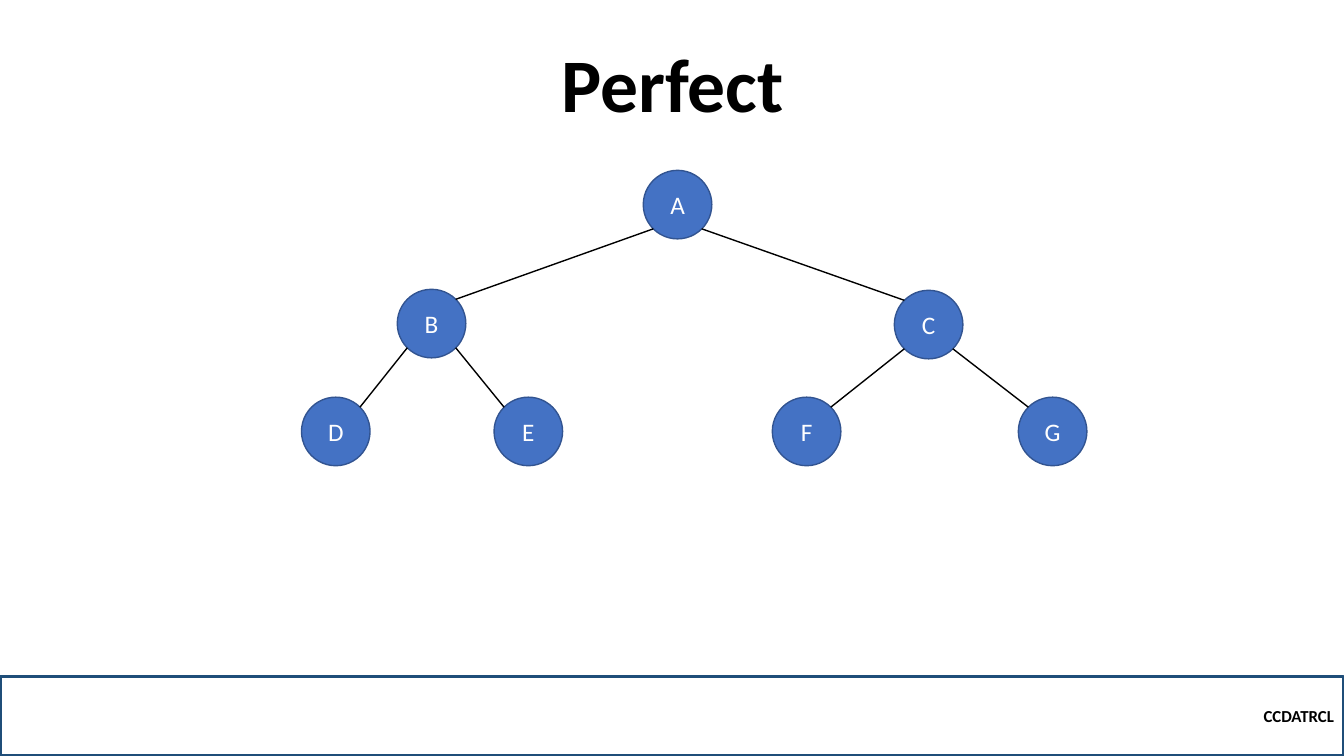
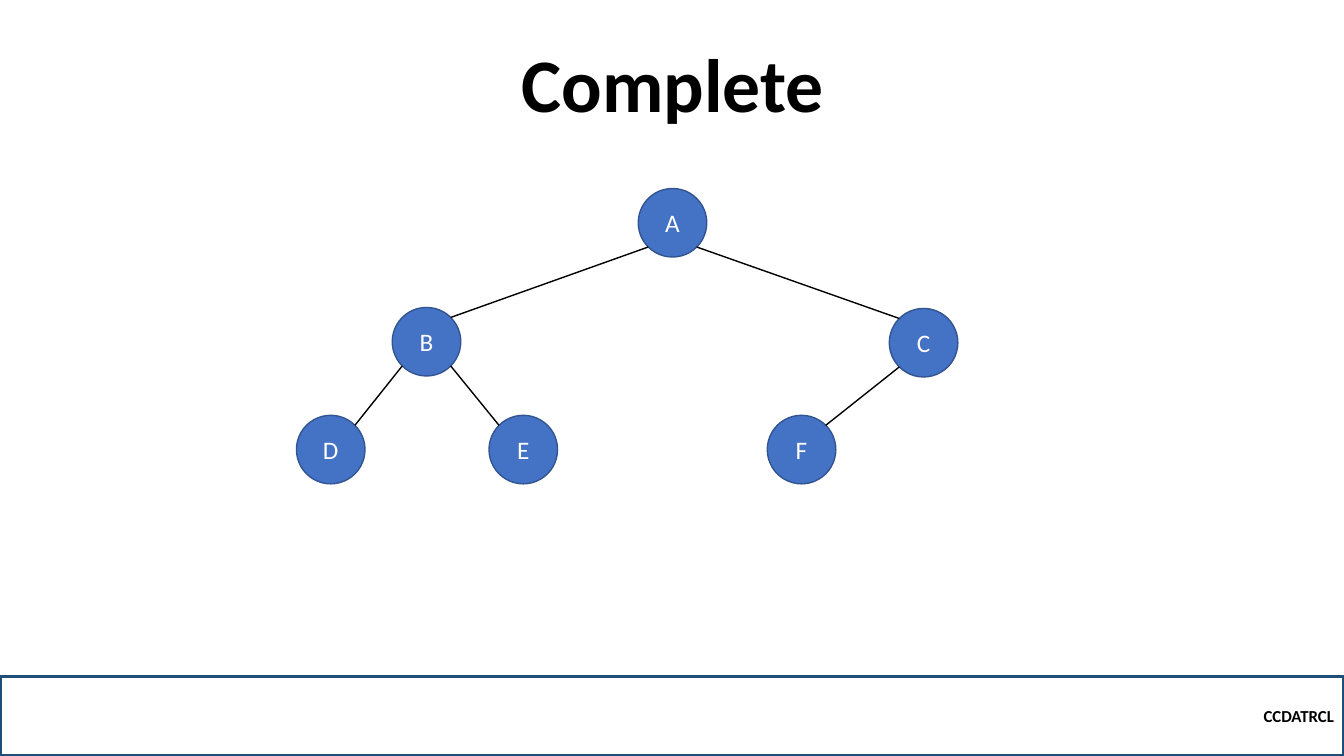
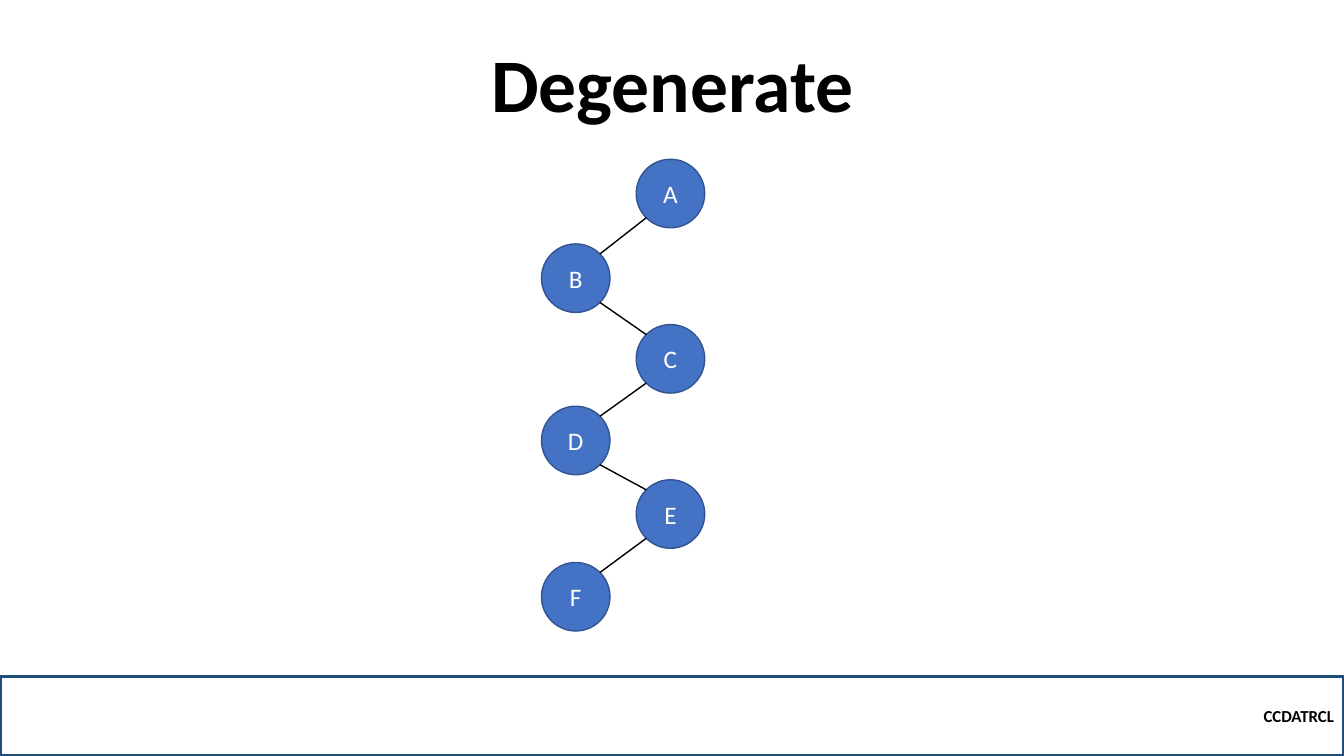
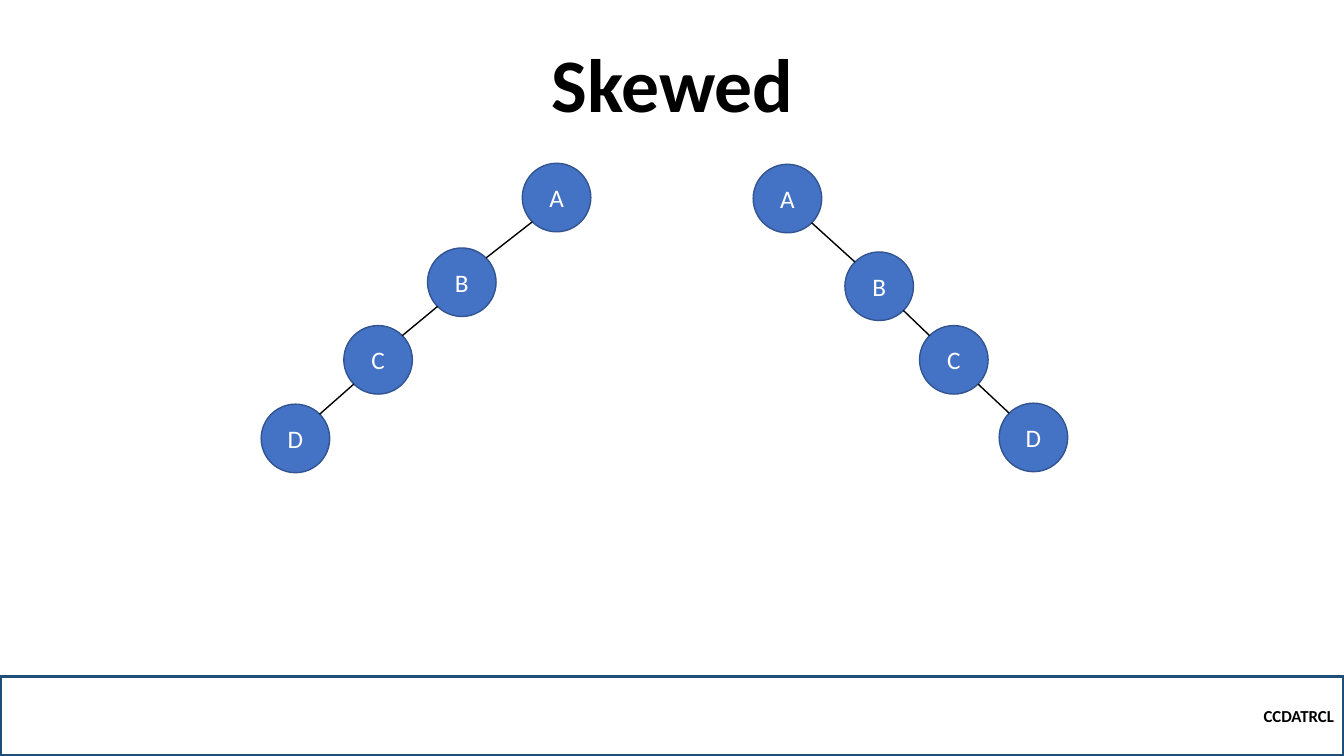
from itertools import pairwise
from math import sqrt

from lxml.etree import SubElement
from pptx import Presentation
from pptx.dml.color import RGBColor
from pptx.enum.shapes import MSO_CONNECTOR, MSO_SHAPE
from pptx.enum.text import MSO_ANCHOR, MSO_AUTO_SIZE, PP_ALIGN
from pptx.oxml.ns import qn
from pptx.util import Inches, Pt

BLACK = RGBColor(0x00, 0x00, 0x00)
WHITE = RGBColor(0xFF, 0xFF, 0xFF)
NODE_BLUE = RGBColor(0x44, 0x72, 0xC4)
NODE_EDGE = RGBColor(0x32, 0x54, 0x91)
BAND_EDGE = RGBColor(0x1F, 0x4E, 0x79)

FONT = "Calibri"
SLIDE_WIDTH, SLIDE_HEIGHT = 13.33, 7.5
TITLE_BOX = (1.67, 0.54, 10, 0.79)
BAND_BOX = (0, 6.71, SLIDE_WIDTH, 0.79)
COURSE_CODE = "CCDATRCL"
NODE_SIZE = 0.68
NODE_INSET = NODE_SIZE / 2 * (1 - 1 / sqrt(2))

BRANCHES = ["AB", "AC", "BD", "BE", "CF", "CG"]
BINARY_NODES = {
    "A": (3.39, 0),
    "B": (0.95, 1.18),
    "C": (5.88, 1.19),
    "D": (0, 2.25),
    "E": (1.91, 2.25),
    "F": (4.67, 2.25),
    "G": (7.11, 2.25),
}
COMPLETE_NODES = {label: BINARY_NODES[label] for label in "ABCDEF"}
ZIGZAG_DROPS = [0, 0.84, 1.64, 2.45, 3.18, 4]
ZIGZAG_NODES = {
    label: (0 if level % 2 else 0.94, drop)
    for level, (label, drop) in enumerate(zip("ABCDEF", ZIGZAG_DROPS))
}
LEFT_SKEW_NODES = {"A": (2.59, 0), "B": (1.65, 0.84), "C": (0.82, 1.61), "D": (0, 2.39)}
RIGHT_SKEW_NODES = {"A": (0, 0), "B": (0.91, 0.87), "C": (1.65, 1.6), "D": (2.44, 2.37)}


def write_text(shape, text, size, color=BLACK, bold=False, align=PP_ALIGN.CENTER,
               anchor=MSO_ANCHOR.MIDDLE, line_spacing=None):
    frame = shape.text_frame
    frame.word_wrap = True
    frame.auto_size = MSO_AUTO_SIZE.NONE
    frame.vertical_anchor = anchor
    paragraph = frame.paragraphs[0]
    paragraph.alignment = align
    paragraph.line_spacing = line_spacing
    run = paragraph.add_run()
    run.text = text
    run.font.name = FONT
    run.font.size = Pt(size)
    run.font.bold = bold
    run.font.color.rgb = color


def add_outlined(slide, preset, box, edge, edge_width, fill=None):
    shape = slide.shapes.add_shape(preset, *map(Inches, box))
    shape.shadow.inherit = False
    if fill is None:
        shape.fill.background()
    else:
        shape.fill.solid()
        shape.fill.fore_color.rgb = fill
    shape.line.color.rgb = edge
    shape.line.width = Pt(edge_width)
    return shape


def place_title(slide, text, box):
    title = slide.shapes.title
    title.left, title.top, title.width, title.height = map(Inches, box)
    write_text(title, text, size=54, bold=True, anchor=MSO_ANCHOR.BOTTOM, line_spacing=0.9)


def add_footer_band(slide, box):
    band = add_outlined(slide, MSO_SHAPE.RECTANGLE, box, BAND_EDGE, 2.25)
    write_text(band, COURSE_CODE, size=12, bold=True, align=PP_ALIGN.RIGHT)


def add_branch(slide, parent, child):
    near, far = NODE_INSET, NODE_SIZE - NODE_INSET
    start, end = (near, far) if child[0] < parent[0] else (far, near)
    ends = (parent[0] + start, parent[1] + far, child[0] + end, child[1] + near)
    branch = slide.shapes.add_connector(MSO_CONNECTOR.STRAIGHT, *map(Inches, ends))
    branch.line.color.rgb = BLACK
    branch.line.width = Pt(1)
    SubElement(branch._element.spPr, qn("a:effectLst"))


def add_tree(slide, left, top, nodes, branches):
    corners = {label: (left + x, top + y) for label, (x, y) in nodes.items()}
    for label, corner in corners.items():
        node = add_outlined(slide, MSO_SHAPE.OVAL, (*corner, NODE_SIZE, NODE_SIZE),
                            NODE_EDGE, 1, fill=NODE_BLUE)
        write_text(node, label, size=18, color=WHITE)
    for parent, child in branches:
        if child in corners:
            add_branch(slide, corners[parent], corners[child])


def add_tree_slide(deck, title, trees):
    slide = deck.slides.add_slide(deck.slide_layouts[0])
    subtitle = slide.placeholders[1]._element
    subtitle.getparent().remove(subtitle)
    place_title(slide, title, TITLE_BOX)
    add_footer_band(slide, BAND_BOX)
    for left, top, nodes, branches in trees:
        add_tree(slide, left, top, nodes, branches)


deck = Presentation()
deck.slide_width = Inches(SLIDE_WIDTH)
deck.slide_height = Inches(SLIDE_HEIGHT)

add_tree_slide(deck, "Perfect", [(2.99, 1.69, BINARY_NODES, BRANCHES)])
add_tree_slide(deck, "Complete", [(2.94, 1.87, COMPLETE_NODES, BRANCHES)])
add_tree_slide(deck, "Degenerate", [(5.37, 1.58, ZIGZAG_NODES, list(pairwise("ABCDEF")))])
add_tree_slide(deck, "Skewed", [
    (2.59, 1.62, LEFT_SKEW_NODES, list(pairwise("ABCD"))),
    (7.47, 1.63, RIGHT_SKEW_NODES, list(pairwise("ABCD"))),
])

deck.save("out.pptx")
